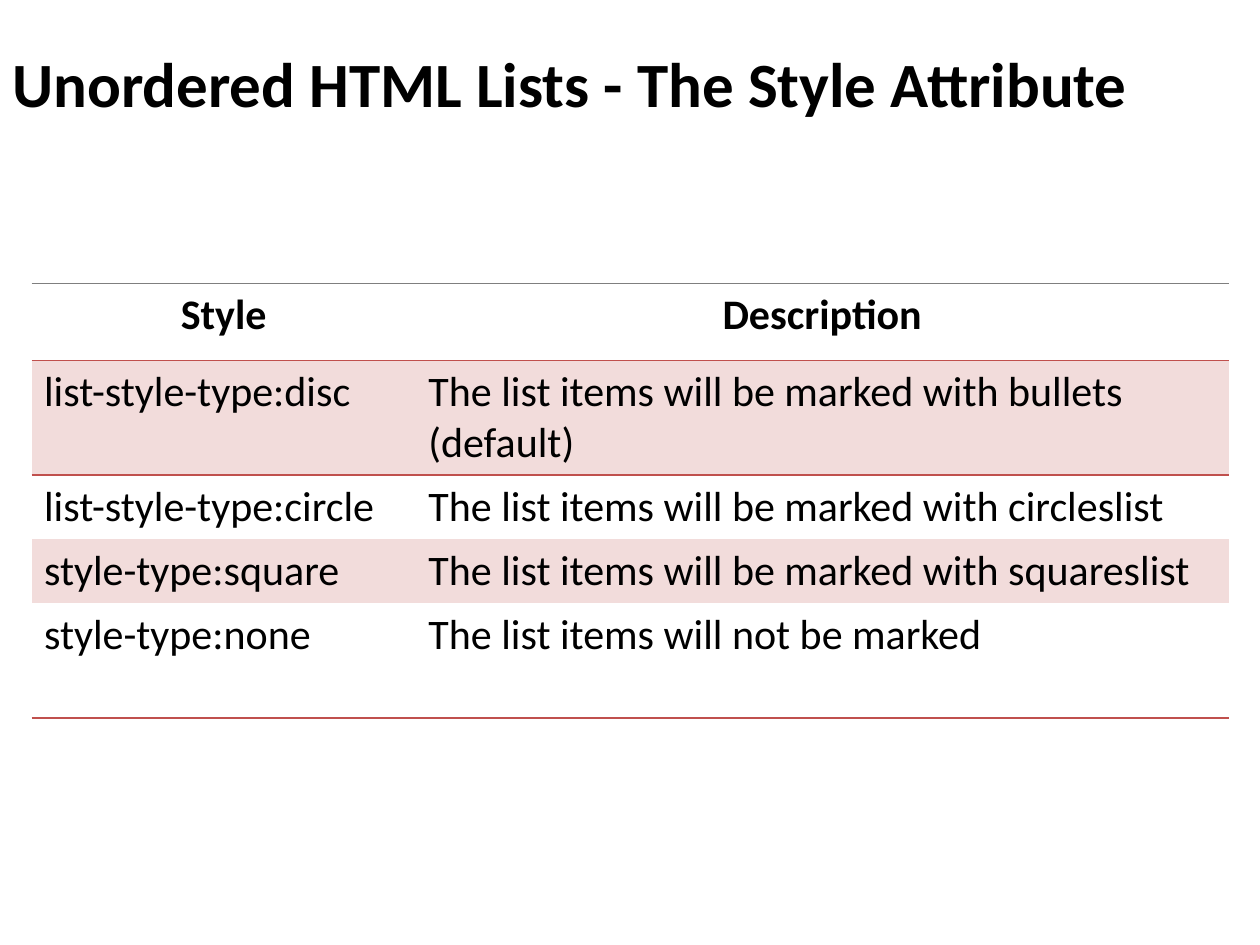
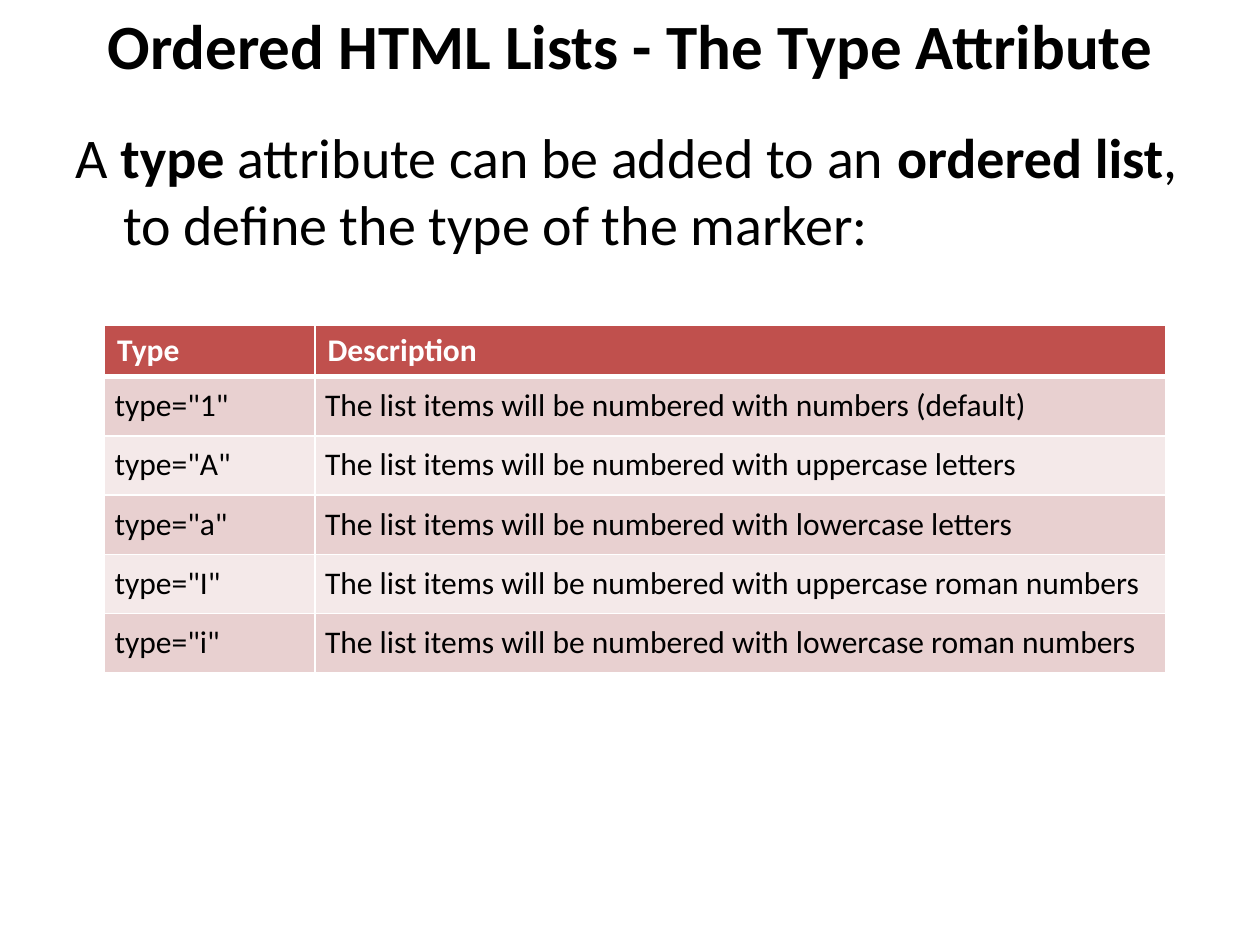
from lxml import etree
from pptx import Presentation
from pptx.dml.color import RGBColor
from pptx.enum.text import MSO_ANCHOR as Anchor, PP_ALIGN as Align
from pptx.oxml.ns import qn
from pptx.util import Inches, Pt

FONT = "Calibri"
BLACK = RGBColor(0x00, 0x00, 0x00)
WHITE = RGBColor(0xFF, 0xFF, 0xFF)
GREY = RGBColor(0x7F, 0x7F, 0x7F)
RED = RGBColor(0xC0, 0x50, 0x4D)
PALE_RED = RGBColor(0xF2, 0xDC, 0xDB)
BAND_DARK = RGBColor(0xE8, 0xD0, 0xD0)
BAND_LIGHT = RGBColor(0xF4, 0xE9, 0xE9)

PLAIN_TABLE = "{2D5ABB26-0587-4C30-8999-92F81FD0307C}"
SIDES = ("lnL", "lnR", "lnT", "lnB")

STYLES = [
    ("Style", "Description"),
    ("list-style-type:disc", "The list items will be marked with bullets (default)"),
    ("list-style-type:circle", "The list items will be marked with circleslist"),
    ("style-type:square", "The list items will be marked with squareslist"),
    ("style-type:none", "The list items will not be marked"),
]
MARKERS = [
    ("1", "numbers (default)"),
    ("A", "uppercase letters"),
    ("a", "lowercase letters"),
    ("I", "uppercase roman numbers"),
    ("i", "lowercase roman numbers"),
]
TYPES = [("Type", "Description")] + [
    (f'type="{marker}"', f"The list items will be numbered with {kind}")
    for marker, kind in MARKERS
]


def write(frame, *parts, size, color=BLACK, bold=False, align=Align.LEFT):
    """Fill the first paragraph; each part is a text or a (text, bold) pair."""
    paragraph = frame.paragraphs[0]
    paragraph.alignment = align
    for part in parts:
        text, heavy = (part, bold) if isinstance(part, str) else part
        run = paragraph.add_run()
        run.text = text
        run.font.name = FONT
        run.font.size = Pt(size)
        run.font.bold = heavy
        run.font.color.rgb = color
    return paragraph


def add_text(slide, box, *parts, anchor=Anchor.TOP, **style):
    frame = slide.shapes.add_textbox(*map(Inches, box)).text_frame
    frame.word_wrap = True
    frame.vertical_anchor = anchor
    return write(frame, *parts, **style)


def add_title(slide, box, text, **style):
    add_text(slide, box, text, size=36, bold=True, **style)


def set_borders(cell, borders):
    """Draw borders given as {side: (colour, points)}, in schema order."""
    properties = cell._tc.get_or_add_tcPr()
    drawn = [side for side in SIDES if side in borders]
    for position, side in enumerate(drawn):
        color, points = borders[side]
        line = etree.Element(qn(f"a:{side}"), w=str(Pt(points)))
        fill = etree.SubElement(line, qn("a:solidFill"))
        etree.SubElement(fill, qn("a:srgbClr"), val=str(color))
        properties.insert(position, line)


def add_grid(slide, left, top, widths, heights, rows, format_cell):
    """Add an unstyled table; format_cell(cell, text, row) finishes each cell."""
    box = (left, top, sum(widths), sum(heights))
    table = slide.shapes.add_table(
        len(rows), len(widths), *map(Inches, box)).table
    table._tbl.tblPr.find(qn("a:tableStyleId")).text = PLAIN_TABLE
    for column, width in zip(table.columns, widths):
        column.width = Inches(width)
    for row, (height, texts) in enumerate(zip(heights, rows)):
        table.rows[row].height = Inches(height)
        for column, text in enumerate(texts):
            format_cell(table.cell(row, column), text, row)


def format_style_cell(cell, text, row):
    header = row == 0
    write(cell.text_frame, text, size=24, bold=header,
          align=Align.CENTER if header else Align.LEFT)
    if row % 2:
        cell.fill.solid()
        cell.fill.fore_color.rgb = PALE_RED
    else:
        cell.fill.background()
    if header:
        set_borders(cell, {"lnT": (GREY, 0.5), "lnB": (RED, 1)})
    elif row == 1:
        set_borders(cell, {"lnT": (RED, 1)})
    elif row == len(STYLES) - 1:
        set_borders(cell, {"lnB": (RED, 1)})


def format_type_cell(cell, text, row):
    header = row == 0
    write(cell.text_frame, text, size=18, bold=header,
          color=WHITE if header else BLACK)
    cell.fill.solid()
    if header:
        cell.fill.fore_color.rgb = RED
    else:
        cell.fill.fore_color.rgb = BAND_DARK if row % 2 else BAND_LIGHT
        cell.margin_left = cell.margin_right = Inches(0.08)
        cell.margin_top = cell.margin_bottom = Inches(0.08)
    borders = {side: (WHITE, 1) for side in SIDES}
    if header:
        borders["lnB"] = (WHITE, 3)
    elif row == 1:
        borders["lnT"] = (WHITE, 3)
    set_borders(cell, borders)


def build_unordered_slide(slide):
    add_title(slide, (0, 0.3, 10, 0.95),
              "Unordered HTML Lists - The Style Attribute")
    add_grid(slide, 0.25, 2.25, (3.05, 6.45), (0.61, 0.91, 0.51, 0.51, 0.91),
             STYLES, format_style_cell)


def build_ordered_slide(slide):
    add_title(slide, (0, 0, 10, 0.7), "Ordered HTML Lists - The Type Attribute",
              align=Align.CENTER, anchor=Anchor.MIDDLE)
    intro = add_text(
        slide, (0.5, 0.92, 9, 5.78),
        "A ", ("type", True), " attribute can be added to an ",
        ("ordered list", True), ", to define the type of the marker:", size=32)
    indent = intro._p.get_or_add_pPr()
    indent.set("marL", str(Inches(0.38)))
    indent.set("indent", str(Inches(-0.38)))
    add_grid(slide, 0.83, 2.58, (1.67, 6.75), [0.41] + [0.47] * len(MARKERS),
             TYPES, format_type_cell)


def main():
    deck = Presentation()
    deck.slide_width, deck.slide_height = Inches(10), Inches(7.5)
    blank = deck.slide_layouts[6]
    for build in (build_unordered_slide, build_ordered_slide):
        build(deck.slides.add_slide(blank))
    deck.save("out.pptx")


if __name__ == "__main__":
    main()
